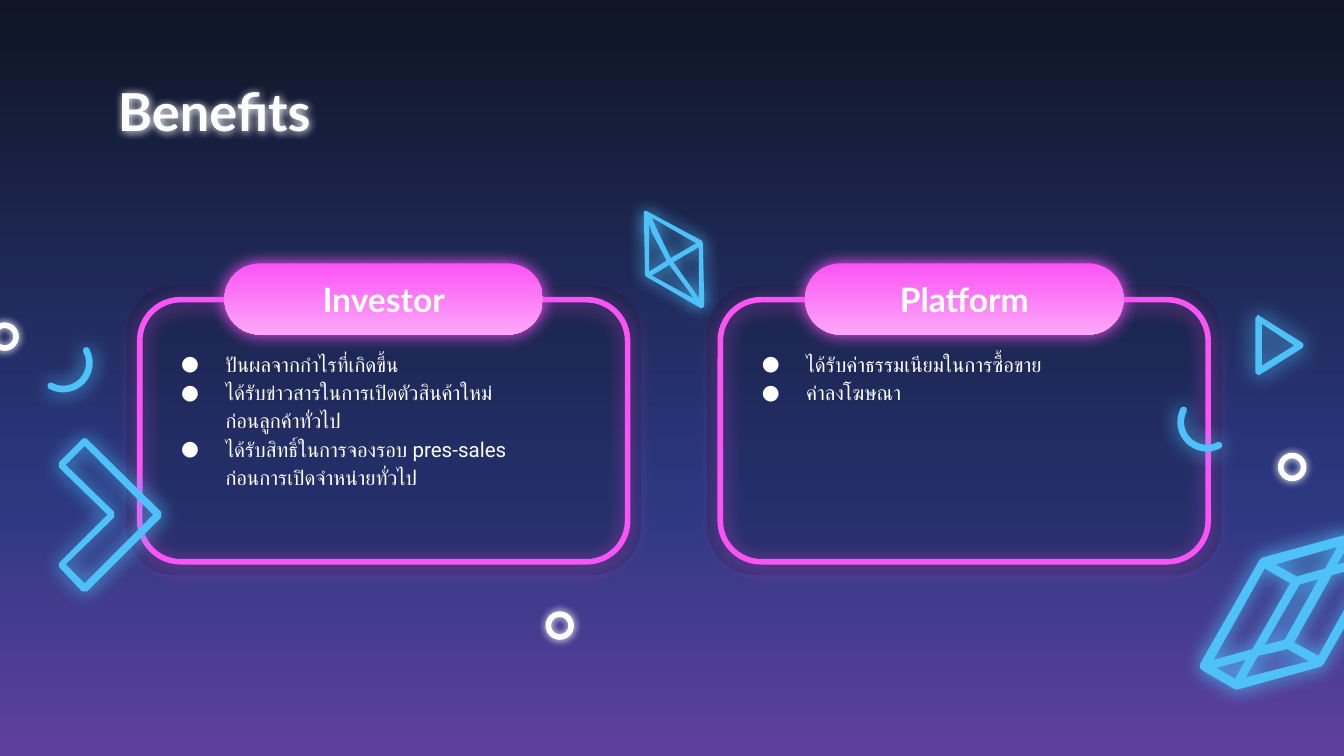
from copy import deepcopy
from math import cos, radians, sin

from lxml.etree import SubElement
from pptx import Presentation
from pptx.dml.color import RGBColor
from pptx.enum.shapes import MSO_SHAPE as SHAPE
from pptx.enum.text import MSO_ANCHOR as ANCHOR, PP_ALIGN as ALIGN
from pptx.oxml.ns import qn
from pptx.util import Inches, Pt

NAVY = RGBColor(0x0F, 0x15, 0x24)
INDIGO = RGBColor(0x2B, 0x38, 0x80)
PURPLE = RGBColor(0x5F, 0x3F, 0x9E)
PINK = RGBColor(0xFB, 0x54, 0xF4)
LIGHT_PINK = RGBColor(0xFD, 0xA7, 0xF9)
CYAN = RGBColor(0x4F, 0xC1, 0xF9)
WHITE = RGBColor(0xFF, 0xFF, 0xFF)

TRIANGLE = [
    [(9.36, 2.34), (9.34, 2.37), (9.34, 2.77), (9.36, 2.79), (9.37, 2.79),
     (9.69, 2.59), (9.7, 2.57), (9.69, 2.55), (9.37, 2.35)],
    [(9.39, 2.41), (9.63, 2.57), (9.39, 2.72)],
]
PRISM = [
    [(10.04, 3.98), (10.01, 3.98), (9.39, 4.15), (9.37, 4.17), (8.93, 4.94),
     (8.93, 4.97), (8.95, 4.99), (9.19, 5.13), (9.21, 5.13), (9.83, 4.96),
     (9.85, 4.94), (10.29, 4.17), (10.3, 4.15), (10.28, 4.12)],
    [(10.18, 4.14), (9.95, 4.2), (10.03, 4.06)],
    [(9.95, 4.07), (9.86, 4.23), (9.65, 4.29), (9.49, 4.2)],
    [(10.19, 4.2), (9.81, 4.88), (9.63, 4.78), (9.91, 4.28)],
    [(9.81, 4.31), (9.56, 4.76), (9.41, 4.8), (9.67, 4.35)],
    [(9.6, 4.34), (9.32, 4.83), (9.03, 4.91), (9.41, 4.23)],
    [(9.74, 4.92), (9.27, 5.04), (9.36, 4.88), (9.58, 4.83)],
    [(9.27, 4.91), (9.19, 5.05), (9.05, 4.97)],
]
CHEVRON = [
    [(0.61, 3.27), (0.44, 3.44), (0.44, 3.48), (0.8, 3.83), (0.44, 4.19),
     (0.44, 4.22), (0.61, 4.4), (0.65, 4.4), (1.2, 3.85), (1.2, 3.81),
     (0.65, 3.27), (0.63, 3.26)],
    [(0.63, 3.32), (1.14, 3.83), (0.63, 4.34), (0.49, 4.2), (0.85, 3.85),
     (0.85, 3.81), (0.49, 3.46)],
]
DIAMOND = [
    [(4.81, 1.57), (4.79, 1.57), (4.79, 1.58), (4.8, 2.05), (4.81, 2.06),
     (5.21, 2.29), (5.23, 2.29), (5.24, 2.27), (5.23, 1.81), (5.22, 1.79)],
    [(4.85, 1.62), (5.18, 1.81), (4.99, 1.92), (4.88, 1.69)],
    [(4.83, 1.66), (4.85, 1.73), (4.96, 1.94), (4.83, 2.02)],
    [(4.98, 1.97), (5.12, 2.16), (5.16, 2.22), (4.85, 2.05)],
    [(5.2, 1.84), (5.2, 2.22), (5.16, 2.16), (5.01, 1.95)],
]
CARDS = [
    (0.94, "Investor", [
        ("ปันผลจากกำไรที่เกิดขึ้น", True),
        ("ได้รับข่าวสารในการเปิดตัวสินค้าใหม่", True),
        ("ก่อนลูกค้าทั่วไป", False),
        ("ได้รับสิทธิ์ในการจองรอบ pres-sales", True),
        ("ก่อนการเปิดจำหน่ายทั่วไป", False),
    ]),
    (5.26, "Platform", [
        ("ได้รับค่าธรรมเนียมในการซื้อขาย", True),
        ("ค่าลงโฆษณา", True),
    ]),
]


def set_glow(sp, color, blur, alpha=100, dist=0):
    """Give a shape a soft coloured shadow."""
    sp.shadow.inherit = False
    effects = sp.element.spPr.find(qn("a:effectLst"))
    shadow = SubElement(effects, qn("a:outerShdw"), blurRad=str(Pt(blur)),
                        dist=str(Pt(dist)), dir="5400000", algn="bl", rotWithShape="0")
    clr = SubElement(shadow, qn("a:srgbClr"), val=str(color))
    SubElement(clr, qn("a:alpha"), val=str(alpha * 1000))


def set_gradient(fill, element, stops):
    """Fill from top to bottom through (position, colour) stops."""
    fill.gradient()
    fill.gradient_angle = 270
    stop_list = element.xpath(".//a:gsLst")[0]
    while len(stop_list) < len(stops):
        stop_list.append(deepcopy(stop_list[-1]))
    for stop, (position, color) in zip(fill.gradient_stops, stops):
        stop.position = position
        stop.color.rgb = color


def add_preset(s, kind, box, line=None, radius=None):
    """Add an unfilled preset shape with an optional 3 pt outline."""
    sp = s.shapes.add_shape(kind, *map(Inches, box))
    sp.shadow.inherit = False
    sp.fill.background()
    if radius is not None:
        sp.adjustments[0] = radius
    if line is None:
        sp.line.fill.background()
    else:
        sp.line.color.rgb = line
        sp.line.width = Pt(3)
    return sp


def add_ring(s, x, y):
    """Add a small glowing white ring."""
    set_glow(add_preset(s, SHAPE.OVAL, (x, y, 0.17, 0.17), WHITE), WHITE, 4.5)


def add_neon(s, contours, blur=11.2):
    """Add a glowing cyan outline; contours after the first are holes."""
    builder = None
    for contour in contours:
        points = [(Inches(x), Inches(y)) for x, y in contour]
        if builder is None:
            builder = s.shapes.build_freeform(*points[0], scale=1.0)
        else:
            builder.move_to(*points[0])
        builder.add_line_segments(points[1:], close=True)
    sp = builder.convert_to_shape()
    sp.fill.solid()
    sp.fill.fore_color.rgb = CYAN
    sp.line.fill.background()
    set_glow(sp, CYAN, blur)


def arc_points(cx, cy, radius, start, end, steps=16):
    """Return points along a circular arc, in degrees clockwise."""
    angles = [radians(start + (end - start) * i / steps) for i in range(steps + 1)]
    return [(cx + radius * cos(a), cy + radius * sin(a)) for a in angles]


def crescent(cx, cy, start, end):
    """Return the contour of an arc band with round ends."""
    middle, half = 0.195, 0.025
    caps = [arc_points(*arc_points(cx, cy, middle, a, a, 1)[0], half, a + turn, a + turn + 180, 6)
            for a, turn in ((end, 0), (start, 180))]
    return [arc_points(cx, cy, middle + half, start, end) + caps[0]
            + arc_points(cx, cy, middle - half, end, start) + caps[1]]


def add_text(s, box, lines, font, size, bold=True, align=None, anchor=ANCHOR.TOP):
    """Add a text box with one paragraph for each line."""
    sp = s.shapes.add_textbox(*map(Inches, box))
    tf = sp.text_frame
    tf.word_wrap = True
    tf.vertical_anchor = anchor
    tf.margin_left = tf.margin_right = tf.margin_top = tf.margin_bottom = Inches(0.1)
    for i, line in enumerate(lines):
        p = tf.add_paragraph() if i else tf.paragraphs[0]
        p.alignment = align
        r = p.add_run()
        r.text = line
        r.font.name, r.font.size, r.font.bold = font, Pt(size), bold
        r.font.color.rgb = WHITE
        SubElement(r.font._element, qn("a:cs"), typeface=font)
    return sp


def set_bullet(p, bulleted):
    """Indent a paragraph and mark it with a white dot if bulleted."""
    p.line_spacing = 1.15
    pPr = p._p.get_or_add_pPr()
    pPr.set("marL", str(Inches(0.5)))
    pPr.set("indent", str(Inches(-0.33 if bulleted else 0)))
    if bulleted:
        SubElement(SubElement(pPr, qn("a:buClr")), qn("a:srgbClr"), val=str(WHITE))
        SubElement(pPr, qn("a:buFont"), typeface="Roboto")
        SubElement(pPr, qn("a:buChar"), char="●")


def add_card(s, x, heading, items):
    """Add a neon frame with a pill heading and a bullet list."""
    panel = add_preset(s, SHAPE.ROUNDED_RECTANGLE, (x, 2.12, 3.83, 2.16), radius=0.17)
    panel.fill.solid()
    panel.fill.fore_color.rgb = NAVY
    SubElement(panel.element.xpath(".//a:solidFill/a:srgbClr")[0], qn("a:alpha"), val="24000")
    frame = add_preset(s, SHAPE.ROUNDED_RECTANGLE, (x + 0.1, 2.23, 3.63, 1.95), PINK, 0.156)
    set_glow(frame, PINK, 11.2, 62, 1.5)
    pill = add_preset(s, SHAPE.ROUNDED_RECTANGLE, (x + 0.73, 1.96, 2.37, 0.53), radius=0.5)
    set_gradient(pill.fill, pill.element, [(0, PINK), (1, LIGHT_PINK)])
    set_glow(pill, PINK, 9)
    add_text(s, (x + 1.17, 1.96, 1.49, 0.53), [heading], "Lato", 18,
             align=ALIGN.CENTER, anchor=ANCHOR.MIDDLE)
    body = add_text(s, (x + 0.14, 2.49, 3.54, 1.83), [text for text, _ in items],
                    "Roboto", 11, bold=False)
    for p, (_, bulleted) in zip(body.text_frame.paragraphs, items):
        set_bullet(p, bulleted)


def main():
    """Build the benefits slide."""
    prs = Presentation()
    prs.slide_width = Inches(10)
    prs.slide_height = prs.slide_width * 9 // 16
    s = prs.slides.add_slide(prs.slide_layouts[6])
    set_gradient(s.background.fill, s.element, [(0, NAVY), (0.65, INDIGO), (1, PURPLE)])
    add_neon(s, TRIANGLE, 12.4)
    add_neon(s, PRISM)
    add_neon(s, crescent(0.47, 2.7, -28, 118))
    add_ring(s, 9.53, 3.39)
    add_ring(s, -0.05, 2.42)
    for x, heading, items in reversed(CARDS):
        add_card(s, x, heading, items)
    add_neon(s, CHEVRON)
    add_neon(s, crescent(8.98, 3.14, 63, 207))
    add_neon(s, DIAMOND, 9)
    add_ring(s, 4.08, 4.57)
    title = add_text(s, (0.78, 0.49, 8.44, 0.63), ["Benefits"], "Lato", 28)
    set_glow(title, WHITE, 4.5)
    prs.save("out.pptx")


if __name__ == "__main__":
    main()
